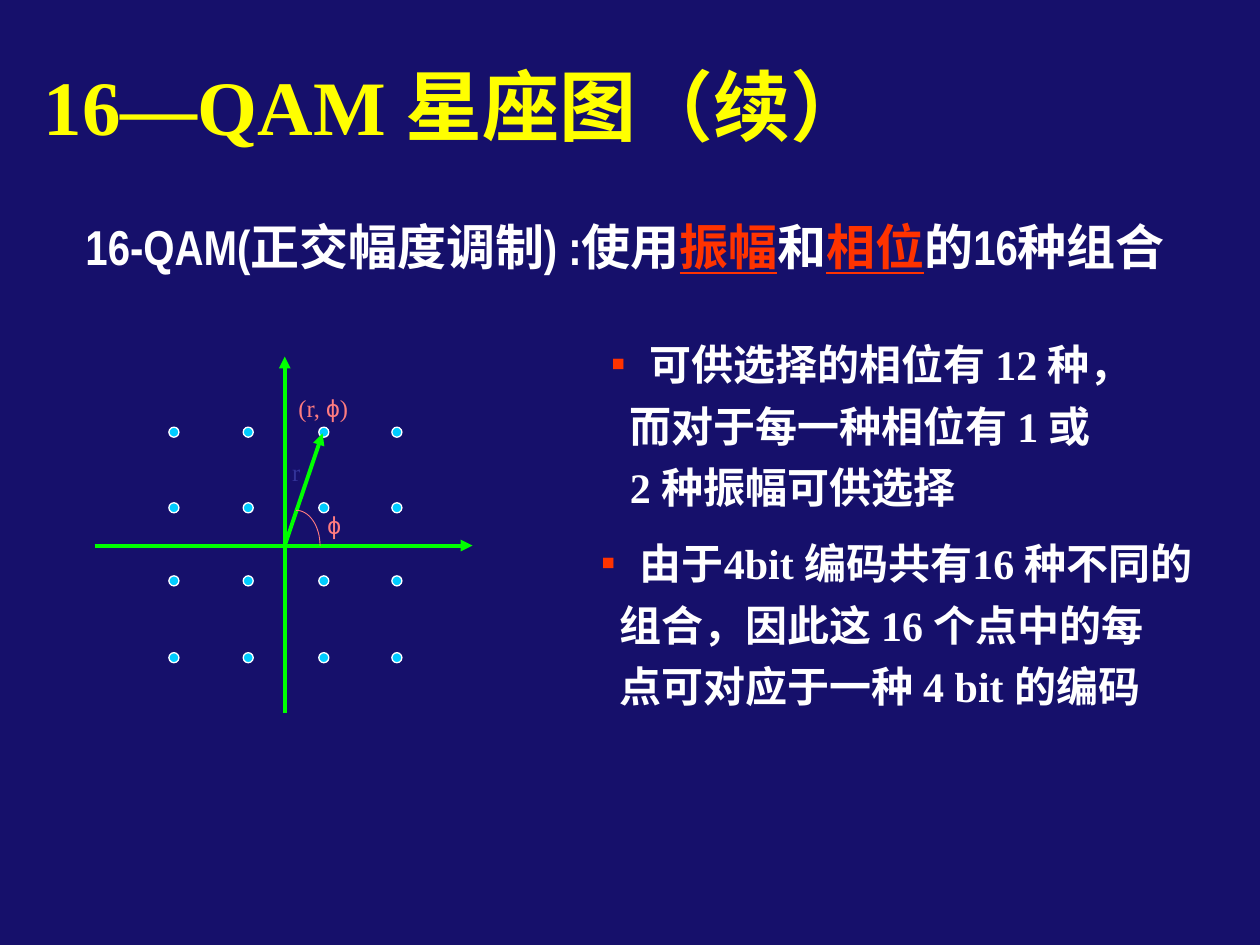
from itertools import product
from math import cos, pi, sin

from lxml import etree
from pptx import Presentation
from pptx import util as u
from pptx.dml.color import RGBColor
from pptx.enum import shapes, text
from pptx.oxml import ns

YELLOW, WHITE, RED = "FFFF00", "FFFFFF", "FF3300"
GREEN, CYAN, PINK, INDIGO = "00FF00", "00CCFF", "FF7C80", "333399"
SERIF, SANS, NARROW, CJK = "Times New Roman", "Arial", "Arial Narrow", "Noto Sans CJK SC"


def rgb(color):
    return RGBColor.from_string(color)


def add_element(parent, tag, **attributes):
    return etree.SubElement(parent, ns.qn(tag), attributes)


class Page:
    """Holds the slide and the collection that receives new elements."""

    def __init__(self, slide, background):
        self.slide = slide
        self.target = slide.shapes
        slide.background.fill.solid()
        slide.background.fill.fore_color.rgb = rgb(background)

    def start_group(self):
        self.target = self.slide.shapes.add_group_shape().shapes

    def text_box(self, left, top, width, height, wrap=True, middle=False):
        box = self.target.add_textbox(*map(u.Inches, (left, top, width, height)))
        frame = box.text_frame
        frame.word_wrap = wrap
        if middle:
            frame.vertical_anchor = text.MSO_ANCHOR.MIDDLE
        else:
            frame.auto_size = text.MSO_AUTO_SIZE.SHAPE_TO_FIT_TEXT
        return frame

    def run(self, paragraph, words, font, size, color, bold=False, underline=False):
        run = paragraph.add_run()
        run.text = words
        run.font.name = font
        run.font.size = u.Pt(size)
        run.font.bold = bold
        if underline:
            run.font.underline = True
        run.font.color.rgb = rgb(color)
        add_element(run._r.get_or_add_rPr(), "a:ea", typeface=CJK)

    def bullet_point(self, left, top, width, height, lines):
        """The first line carries the bullet, the others are indented."""
        frame = self.text_box(left, top, width, height)
        for number, runs in enumerate(lines):
            paragraph = frame.paragraphs[0] if number == 0 else frame.add_paragraph()
            props = paragraph._p.get_or_add_pPr()
            if number == 0:
                props.set("marL", str(u.Inches(0.31)))
                props.set("indent", str(u.Inches(-0.31)))
                add_element(add_element(props, "a:buClr"), "a:srgbClr", val=RED)
                add_element(props, "a:buFont", typeface=SANS)
                add_element(props, "a:buChar", char="▪")
            else:
                props.set("marL", str(u.Inches(0.15)))
                paragraph.space_before = u.Pt(15)
            paragraph.line_spacing = 0.7
            for words, font in runs:
                self.run(paragraph, words, font, 24, WHITE, bold=True)

    def label(self, left, top, width, runs, color):
        frame = self.text_box(left, top, width, 0.34, wrap=False)
        for words, font in runs:
            self.run(frame.paragraphs[0], words, font, 14, color)

    def arrow(self, start, end):
        line = self.target.add_connector(
            shapes.MSO_CONNECTOR.STRAIGHT, *map(u.Inches, start + end))
        line.line.color.rgb = rgb(GREEN)
        line.line.width = u.Pt(2.25)
        add_element(line.line._get_or_add_ln(), "a:tailEnd", type="triangle")
        add_element(line._element.spPr, "a:effectLst")

    def dot(self, left, top, size=0.08):
        dot = self.target.add_shape(
            shapes.MSO_SHAPE.OVAL, *map(u.Inches, (left, top, size, size)))
        dot.shadow.inherit = False
        dot.fill.solid()
        dot.fill.fore_color.rgb = rgb(CYAN)
        dot.line.color.rgb = rgb(WHITE)
        dot.line.width = u.Pt(0.75)

    def quarter_arc(self, center_x, center_y, radius_x, radius_y, steps=16):
        angles = [pi / 2 * (1 - step / steps) for step in range(steps + 1)]
        points = [(u.Inches(center_x + radius_x * cos(angle)),
                   u.Inches(center_y - radius_y * sin(angle))) for angle in angles]
        builder = self.target.build_freeform(*points[0])
        builder.add_line_segments(points[1:], close=False)
        arc = builder.convert_to_shape()
        arc.shadow.inherit = False
        arc.fill.background()
        arc.line.color.rgb = rgb(PINK)
        arc.line.width = u.Pt(0.5)


def main():
    deck = Presentation()
    deck.slide_width, deck.slide_height = u.Inches(10), u.Inches(7.5)
    page = Page(deck.slides.add_slide(deck.slide_layouts[6]), "16106B")

    # Title
    title = page.text_box(0.25, 0.42, 8.17, 0.83, middle=True).paragraphs[0]
    page.run(title, "16—QAM 星座图（续）", SERIF, 44, YELLOW, bold=True)

    # Definition, with its two key terms underlined
    definition = page.text_box(0.58, 1.67, 9.08, 1.04).paragraphs[0]
    for words, key in (("16-QAM(正交幅度调制) :使用", False), ("振幅", True),
                       ("和", False), ("相位", True), ("的16种组合", False)):
        page.run(definition, words, NARROW, 28, RED if key else WHITE,
                 bold=True, underline=key)

    # Explanations
    page.bullet_point(4.75, 2.75, 5, 1.36, [
        [("可供选择的相位有 ", CJK), ("12 ", SERIF), ("种，", CJK)],
        [("而对于每一种相位有 ", CJK), ("1 ", SERIF), ("或", CJK)],
        [("2 ", SERIF), ("种振幅可供选择", CJK)],
    ])
    page.bullet_point(4.67, 4.33, 5.33, 1.36, [
        [("由于", CJK), ("4bit ", SERIF), ("编码共有", CJK), ("16 ", SERIF),
         ("种不同的", CJK)],
        [("组合，因此这 ", CJK), ("16 ", SERIF), ("个点中的每", CJK)],
        [("点可对应于一种 ", CJK), ("4 bit ", SERIF), ("的编码", CJK)],
    ])

    # Constellation: axes, points and the phasor
    page.start_group()
    origin = (2.26, 4.33)
    page.arrow((origin[0], 5.66), (origin[0], 2.83))
    for top, left in product((3.39, 3.99, 4.57, 5.18), (1.34, 1.93, 2.53, 3.11)):
        page.dot(left, top)
    page.arrow((0.75, origin[1]), (3.75, origin[1]))
    page.arrow(origin, (2.56, 3.44))
    page.quarter_arc(2.35, origin[1], 0.19, 0.28)

    # Labels of the phasor
    page.label(2.5, 4, 0.32, [("ϕ", SANS)], PINK)
    page.label(2.27, 3.07, 0.61, [("(r, ", SERIF), ("ϕ", SANS), (")", SERIF)], PINK)
    page.label(2.22, 3.58, 0.28, [("r", SERIF)], INDIGO)

    deck.save("out.pptx")


if __name__ == "__main__":
    main()
